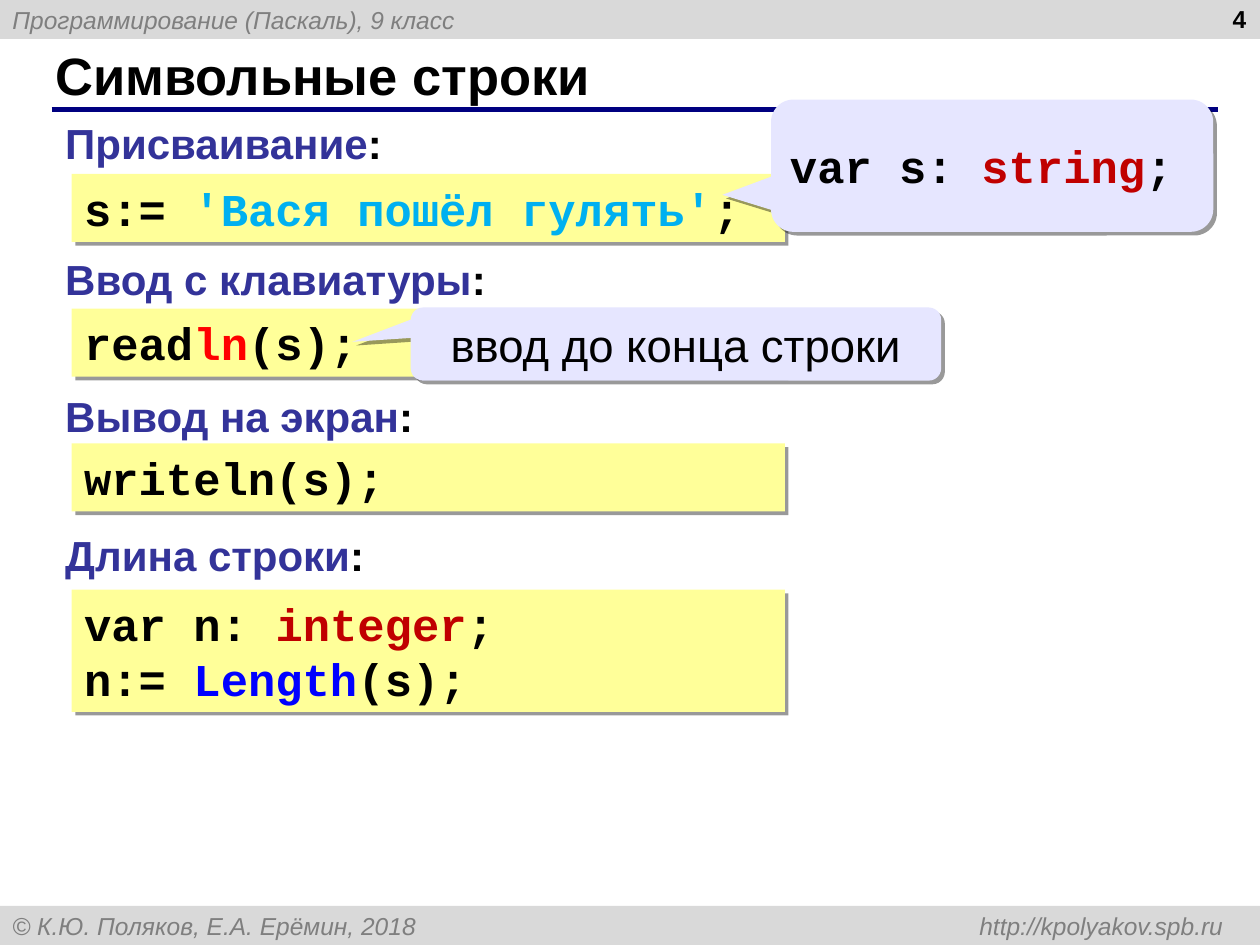
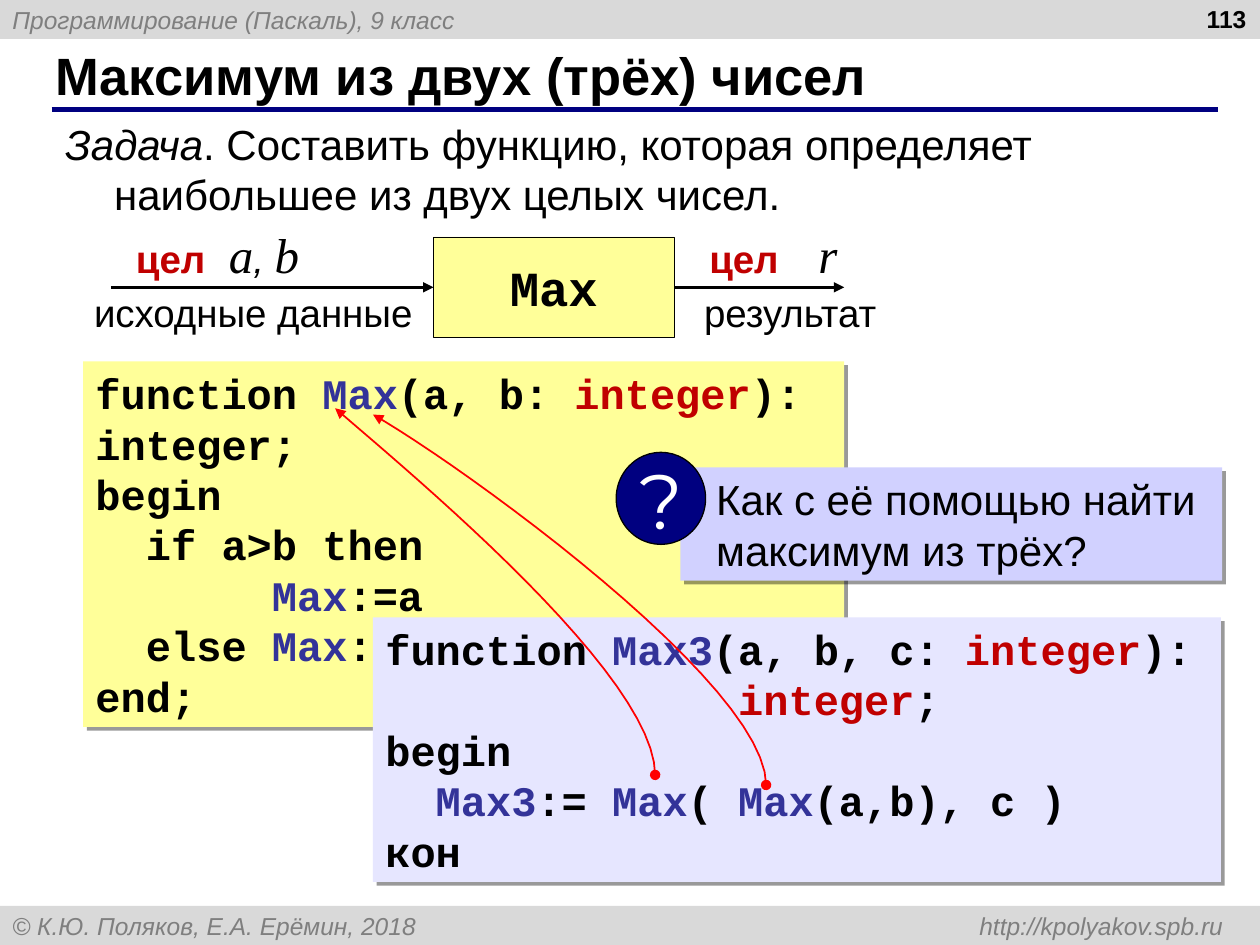
from pptx import Presentation
from pptx import util as u
from pptx.dml.color import RGBColor
from pptx.enum import shapes, text
from pptx.oxml import ns, xmlchemy
from pptx.oxml.xmlchemy import OxmlElement

Pt = u.Pt
SHAPE = shapes.MSO_SHAPE
STRAIGHT = shapes.MSO_CONNECTOR.STRAIGHT
LEFT, CENTER, RIGHT = text.PP_ALIGN.LEFT, text.PP_ALIGN.CENTER, text.PP_ALIGN.RIGHT
TOP, MIDDLE = text.MSO_ANCHOR.TOP, text.MSO_ANCHOR.MIDDLE


class Theme:
    black, white, navy, indigo = "000000", "FFFFFF", "000080", "333399"
    dark_red, red, blue, sky = "C00000", "FF0000", "0000FF", "00B0F0"
    band, yellow, lilac, violet = "D9D9D9", "FFFF99", "E6E6FF", "D1D1FF"
    title = dict(face="Arial", size=30, bold=True)
    band_text = dict(face="Arial", size=14, italic=True, color="7F7F7F")
    number = dict(face="Arial", size=14, bold=True)
    heading = dict(face="Arial", size=24, bold=True)
    body = dict(face="Arial", size=24)
    note = dict(face="Arial", size=26)
    caption = dict(face="Arial", size=22)
    type_label = dict(face="Arial", size=22, bold=True, color=dark_red)
    variable = dict(face="Times New Roman", size=28, italic=True)
    code_large = dict(face="Courier New", size=26, bold=True)
    code = dict(face="Courier New", size=24, bold=True)
    block = dict(face="Courier New", size=28, bold=True)
    question = dict(face="Montserrat", size=44, color=white)


def dress(shape, lines, style, align=LEFT, anchor=TOP, fill=None, outline=None,
          shadow=False, margins=(7.2, 3.6, 7.2, 3.6)):
    if fill:
        shape.fill.solid()
        shape.fill.fore_color.rgb = RGBColor.from_string(fill)
        if outline:
            shape.line.color.rgb = RGBColor.from_string(Theme.black)
            shape.line.width = Pt(outline)
        else:
            shape.line.fill.background()
        shape.shadow.inherit = False
    if shadow:
        cast = OxmlElement("a:outerShdw")
        cast.set("dist", str(Pt(3)))
        cast.set("dir", "2700000")
        cast.set("algn", "ctr")
        tint = OxmlElement("a:srgbClr")
        tint.set("val", Theme.black)
        alpha = OxmlElement("a:alpha")
        alpha.set("val", "40000")
        tint.append(alpha)
        cast.append(tint)
        shape.element.spPr.find(ns.qn("a:effectLst")).append(cast)
    frame = shape.text_frame
    frame.word_wrap = True
    frame.auto_size = text.MSO_AUTO_SIZE.NONE
    frame.vertical_anchor = anchor
    frame.margin_left, frame.margin_top, frame.margin_right, frame.margin_bottom = map(Pt, margins)
    for index, line in enumerate(lines):
        paragraph = frame.add_paragraph() if index else frame.paragraphs[0]
        paragraph.alignment = align
        for part in line:
            words, changes = (part, {}) if isinstance(part, str) else part
            look = {**style, **changes}
            run = paragraph.add_run()
            run.text = words
            run.font.name = look["face"]
            run.font.size = Pt(look["size"])
            run.font.bold = look.get("bold", False)
            run.font.italic = look.get("italic", False)
            run.font.color.rgb = RGBColor.from_string(look.get("color", Theme.black))
    return frame


def stroke(shape, color, width, head=None, tail=None):
    shape.line.color.rgb = RGBColor.from_string(color)
    shape.line.width = Pt(width)
    properties = shape.element.spPr
    for tag, kind in (("a:headEnd", head), ("a:tailEnd", tail)):
        if kind:
            end = OxmlElement(tag)
            end.set("type", kind)
            properties.find(ns.qn("a:ln")).append(end)
    properties.append(OxmlElement("a:effectLst"))


deck = Presentation()
deck.slide_width, deck.slide_height = Pt(720), Pt(540)
layout = deck.slide_layouts[5]
title_place, *unused = layout.placeholders
for place in unused:
    place.element.getparent().remove(place.element)
title_place.left, title_place.top, title_place.width, title_place.height = map(
    Pt, (24.5, 23.8, 659.5, 37.4))

pages = []
for heading, number in (("Символьные строки", "4"), ("Максимум из двух (трёх) чисел", "113")):
    page = deck.slides.add_slide(layout)
    dress(page.shapes.title, [[heading]], Theme.title, anchor=MIDDLE)
    pages.append((page, number))
strings, maximum = (page.shapes for page, number in pages)

for top, words in ((0, "Программирование (Паскаль), 9 класс"),
                   (517.7, "© К.Ю. Поляков, Е.А. Ерёмин, 2018\thttp://kpolyakov.spb.ru")):
    band = strings.add_shape(SHAPE.RECTANGLE, *map(Pt, (0, top, 720, 22.3)))
    band_frame = dress(band, [[words]], Theme.band_text, anchor=MIDDLE, fill=Theme.band)
    tabs = OxmlElement("a:tabLst")
    stop = OxmlElement("a:tab")
    stop.set("pos", str(Pt(692)))
    stop.set("algn", "r")
    tabs.append(stop)
    band_frame.paragraphs[0]._p.get_or_add_pPr().append(tabs)
    layout.shapes.element.append(band.element)
title_rule = strings.add_connector(STRAIGHT, *map(Pt, (29.5, 62.6, 696.2, 62.6)))
stroke(title_rule, Theme.navy, 3)
layout.shapes.element.append(title_rule.element)

for page, number in pages:
    corner = page.shapes.add_textbox(*map(Pt, (551.5, -1.4, 167.8, 37.4)))
    dress(corner, [[number]], Theme.number, RIGHT)

indigo, dark_red = dict(color=Theme.indigo), dict(color=Theme.dark_red)

operations = [
    ("Присваивание", 63.4, 99.4, 38.9,
     [["s:= ", ("'Вася пошёл гулять'", dict(color=Theme.sky)), ";"]]),
    ("Ввод с клавиатуры", 141.1, 176.4, 38.9,
     [["read", ("ln", dict(color=Theme.red)), "(s);"]]),
    ("Вывод на экран", 219.6, 253.4, 38.9, [["writeln(s);"]]),
    ("Длина строки", 298.8, 337, 69.8,
     [["var n: ", ("integer", dark_red), ";"],
      ["n:= ", ("Length", dict(color=Theme.blue)), "(s);"]]),
]
for operation, label_top, code_top, code_height, code in operations:
    label = strings.add_textbox(*map(Pt, (30.2, label_top, 359, 36)))
    dress(label, [[(operation, indigo), ":"]], Theme.heading)
    listing = strings.add_shape(SHAPE.RECTANGLE, *map(Pt, (41, code_top, 407.5, code_height)))
    dress(listing, code, Theme.code_large, anchor=MIDDLE, fill=Theme.yellow, shadow=True)

for area, pointer_y, hint, style, align in (
        ((440.6, 56.9, 252.7, 75.6), 0.22, ["var s: ", ("string", dark_red), ";"],
         Theme.code_large, LEFT),
        ((234.7, 175.7, 303.1, 41.8), -0.03, ["ввод до конца строки"], Theme.note, CENTER)):
    callout = strings.add_shape(SHAPE.ROUNDED_RECTANGULAR_CALLOUT, *map(Pt, area))
    callout.adjustments[0] = -0.61
    callout.adjustments[1] = pointer_y
    callout.adjustments[2] = 0.17
    dress(callout, [hint], style, align, MIDDLE, Theme.lilac, shadow=True)

task = maximum.add_textbox(*map(Pt, (30.2, 64.1, 664.6, 64.8)))
task_frame = dress(task, [[("Задача", dict(italic=True)),
                           ". Составить функцию, которая определяет наибольшее из двух целых чисел."]],
                   Theme.body)
hanging = task_frame.paragraphs[0]._p.get_or_add_pPr()
hanging.set("marL", str(Pt(28)))
hanging.set("indent", str(-Pt(28)))

max_code = maximum.add_shape(SHAPE.RECTANGLE, *map(Pt, (47.5, 206.6, 434.9, 208.8)))
dress(max_code, [
    ["function ", ("Max", indigo), "(a, b: ", ("integer", dark_red), "):"],
    ["integer;"],
    ["begin"],
    ["  if a>b then"],
    ["       ", ("Max", indigo), ":=a"],
    ["  else ", ("Max", indigo), ":=b"],
    ["end;"],
], Theme.code, fill=Theme.yellow, shadow=True)

max_block = maximum.add_shape(SHAPE.RECTANGLE, *map(Pt, (247.7, 135.4, 137.5, 57.6)))
dress(max_block, [["Max"]], Theme.block, CENTER, MIDDLE, Theme.yellow, 0.25)
for start, finish in ((385.2, 482.4), (63.4, 247.7)):
    flow = maximum.add_connector(STRAIGHT, *map(Pt, (start, 164.2, finish, 164.2)))
    stroke(flow, Theme.black, 1.5, tail="triangle")

for left, top, width, words, style in (
        (99.4, 128.2, 103, ["a", (", ", dict(face="Arial", size=22)), "b"], Theme.variable),
        (446.4, 128.2, 53.3, ["r"], Theme.variable),
        (49, 164.9, 191.5, ["исходные данные"], Theme.caption),
        (387.4, 164.9, 128.2, ["результат"], Theme.caption)):
    caption = maximum.add_textbox(*map(Pt, (left, top, width, 38.2)))
    dress(caption, [words], style, CENTER, margins=(0, 0, 0, 0))
for left in (70.6, 398.2):
    value_type = maximum.add_textbox(*map(Pt, (left, 131, 60, 33.8)))
    dress(value_type, [["цел"]], Theme.type_label)

question = maximum.add_shape(SHAPE.RECTANGLE, *map(Pt, (388.8, 267.1, 309.6, 64.8)))
dress(question, [["Как с её помощью найти максимум из трёх?"]], Theme.body,
      fill=Theme.violet, shadow=True, margins=(20.5, 3.6, 7.2, 3.6))
question_mark = maximum.add_shape(SHAPE.OVAL, *map(Pt, (352.1, 258.5, 51.1, 52.6)))
dress(question_mark, [["?"]], Theme.question, CENTER, MIDDLE, Theme.navy, 0.75,
      margins=(0, 0, 0, 0))

max3_code = maximum.add_shape(SHAPE.RECTANGLE, *map(Pt, (213.1, 352.8, 484.6, 151.2)))
dress(max3_code, [
    ["function ", ("Max3", indigo), "(a, b, c: ", ("integer", dark_red), "):"],
    ["              ", ("integer", dark_red), ";"],
    ["begin"],
    ["  ", ("Max3", indigo), ":= ", ("Max", indigo), "( ", ("Max", indigo), "(a,b), c )"],
    ["кон"],
], Theme.code, fill=Theme.lilac, shadow=True)

steps = 24
for controls in (((374.4, 442.8), (374.4, 386.6), (238.3, 273.6), (191.5, 233.3)),
                 ((437.8, 448.6), (437.8, 391), (263.5, 265.7), (213.1, 236.9))):
    curve = []
    for step in range(steps + 1):
        t = step / steps
        weights = ((1 - t) ** 3, 3 * t * (1 - t) ** 2, 3 * t ** 2 * (1 - t), t ** 3)
        curve.append(tuple(Pt(sum(w * value for w, value in zip(weights, axis)))
                           for axis in zip(*controls)))
    outline = maximum.build_freeform(*curve[0])
    outline.add_line_segments(curve[1:], close=False)
    call_link = outline.convert_to_shape()
    call_link.fill.background()
    stroke(call_link, Theme.red, 1, head="oval", tail="triangle")

deck.save("out.pptx")
